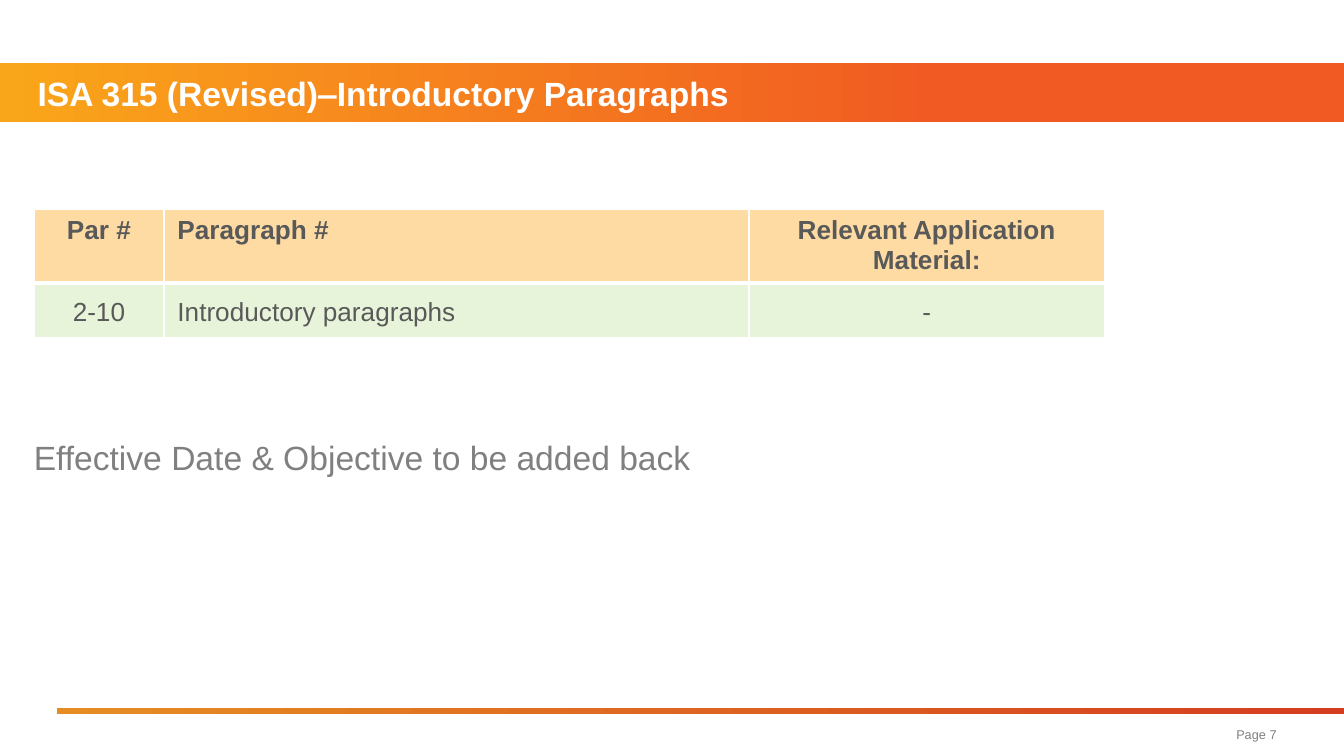
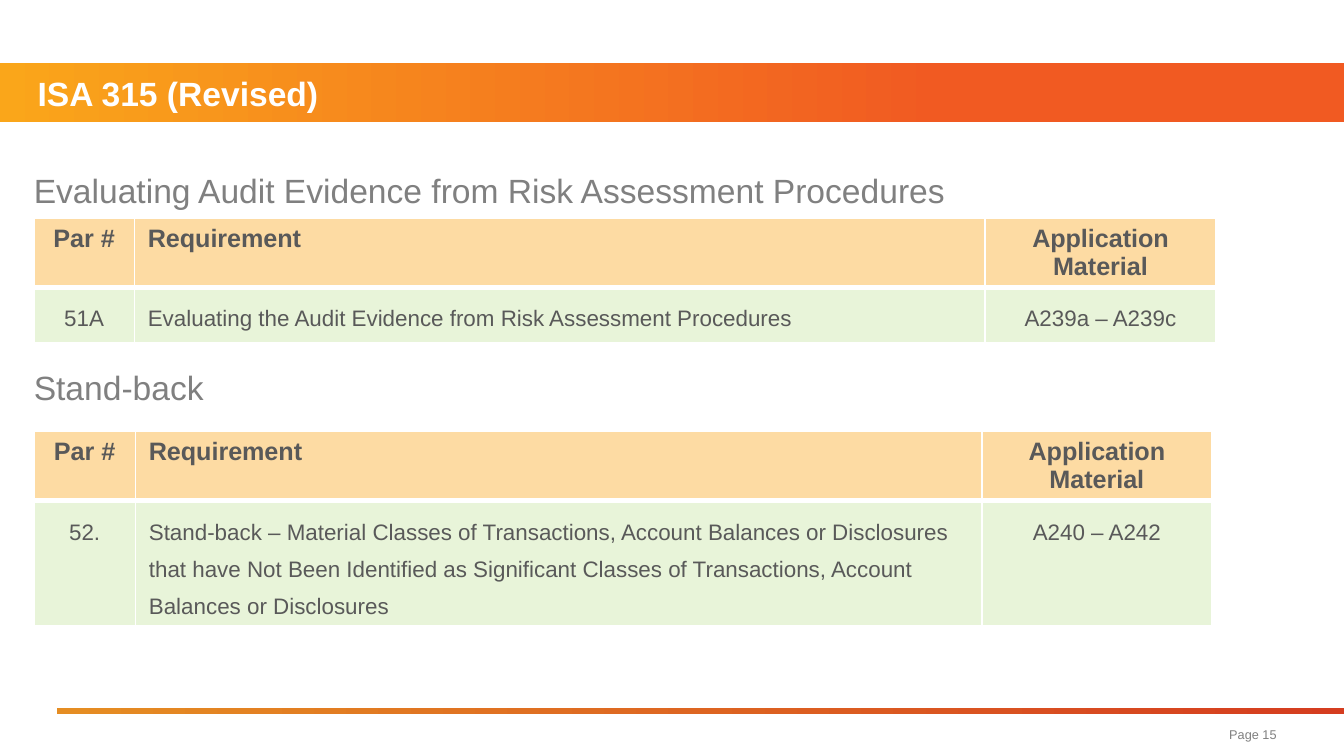
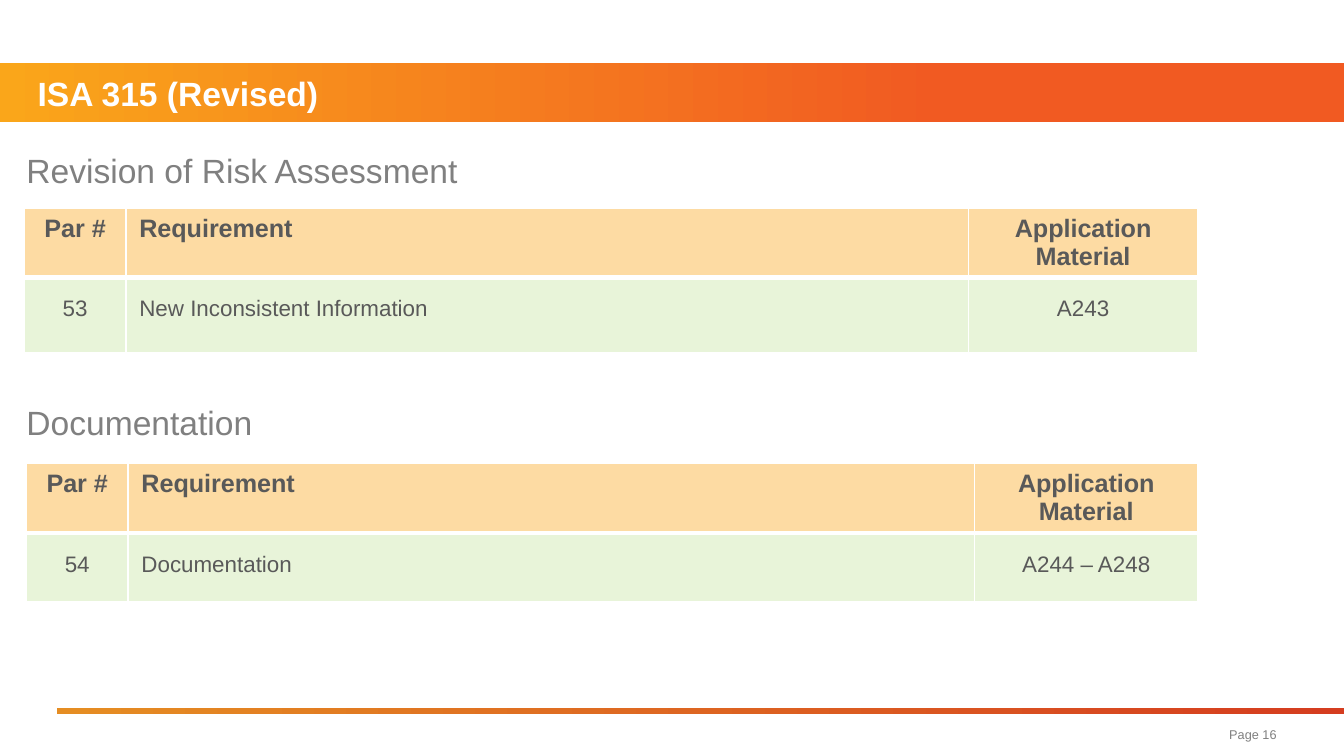
"""Build three slides on the paragraphs of ISA 315 (Revised)."""
from lxml.etree import SubElement
from pptx import Presentation
from pptx.dml.color import RGBColor
from pptx.enum.shapes import MSO_SHAPE
from pptx.enum.text import MSO_ANCHOR, MSO_AUTO_SIZE, PP_ALIGN
from pptx.oxml.ns import qn
from pptx.util import Cm, Pt

FONT = "Arial"
HUES = {
    "white": "FFFFFF", "grey": "808080", "text": "595959",
    "head": "FDDBA3", "body": "E8F4D9",
    "amber": "FAA61A", "orange": "F15A22",
    "gold": "E58D23", "red": "D53D20",
}
BAND = (0, 1.19, 25.4, 1.12)
RULE = (1.07, 13.39, 24.33, 0.1)
PAGE = (19.79, 13.56, 4.34, 0.64)
ALIGNS = (PP_ALIGN.CENTER, PP_ALIGN.LEFT, PP_ALIGN.CENTER)
HEADER = ("Par #", "Requirement", "Application Material")

SLIDES = [
    {
        "title": "ISA 315 (Revised)‒Introductory Paragraphs",
        "page": 7,
        "box": (0.64, 8.31, 21.74, 1.2), "line": 20, "gap": 0,
        "heads": ["Effective Date & Objective to be added back"],
        "tables": [
            {"at": (0.64, 3.96), "cols": (2.46, 11.05, 6.73),
             "rows": (1.39, 1.04), "sizes": (14, 14),
             "cells": [("Par #", "Paragraph #", "Relevant Application Material:"),
                       ("2-10", "Introductory paragraphs", "-")]},
        ],
    },
    {
        "title": "ISA 315 (Revised)",
        "page": 15,
        "box": (0.64, 3.2, 23.32, 11.08), "line": 22, "gap": 81.4,
        "heads": ["Evaluating Audit Evidence from Risk Assessment Procedures",
                  "Stand-back"],
        "tables": [
            {"at": (0.64, 4.12), "cols": (1.9, 16.08, 4.36),
             "rows": (1.3, 1.04), "sizes": (13.5, 12),
             "cells": [HEADER,
                       ("51A",
                        "Evaluating the Audit Evidence from Risk Assessment Procedures",
                        "A239a – A239c")]},
            {"at": (0.64, 8.15), "cols": (1.92, 16, 4.34),
             "rows": (1.3, 2.37), "sizes": (13.5, 12),
             "cells": [HEADER,
                       ("52.",
                        "Stand-back – Material Classes of Transactions, Account "
                        "Balances or Disclosures that have Not Been Identified as "
                        "Significant Classes of Transactions, Account Balances or "
                        "Disclosures",
                        "A240 – A242")]},
        ],
    },
    {
        "title": "ISA 315 (Revised)",
        "page": 16,
        "box": (0.5, 2.82, 23.32, 11.1), "line": 22, "gap": 111,
        "heads": ["Revision of Risk Assessment", "Documentation"],
        "tables": [
            {"at": (0.46, 3.93), "cols": (1.92, 15.92, 4.34),
             "rows": (1.3, 1.42), "sizes": (13.5, 12),
             "cells": [HEADER, ("53", "New Inconsistent Information", "A243")]},
            {"at": (0.5, 8.76), "cols": (1.92, 16, 4.22),
             "rows": (1.3, 1.3), "sizes": (13.5, 12),
             "cells": [HEADER, ("54", "Documentation", "A244 – A248")]},
        ],
    },
]


def shade(hue):
    return RGBColor.from_string(HUES[hue])


def place(shape, box):
    shape.left, shape.top, shape.width, shape.height = map(Cm, box)


def write(para, text, size, hue, align, bold=False):
    para.text = text
    para.alignment = align
    font = para.font
    font.name, font.size, font.bold = FONT, Pt(size), bold
    font.color.rgb = shade(hue)


def frame(shape, anchor):
    text = shape.text_frame
    text.word_wrap = True
    text.auto_size = MSO_AUTO_SIZE.NONE
    text.vertical_anchor = anchor
    text.margin_left = text.margin_right = 0
    text.margin_top = text.margin_bottom = 0
    return text


def add_bar(slide, layout, box, stops):
    bar = slide.shapes.add_shape(MSO_SHAPE.RECTANGLE, *map(Cm, box))
    bar.shadow.inherit = False
    bar.line.fill.background()
    bar.fill.gradient()
    bar.fill.gradient_angle = 0
    for stop, (hue, spot) in zip(bar.fill.gradient_stops, stops):
        stop.color.rgb = shade(hue)
        stop.position = spot
    layout.shapes.element.append(bar.element)


def add_title(slide, text):
    title = slide.shapes.title
    place(title, BAND)
    para = frame(title, MSO_ANCHOR.MIDDLE).paragraphs[0]
    write(para, text, 18, "white", PP_ALIGN.LEFT, True)
    props = para._p.get_or_add_pPr()
    props.set("marL", str(Cm(0.71)))
    props.set("indent", "0")


def add_page(slide, page):
    box = slide.shapes.add_textbox(*map(Cm, PAGE))
    para = frame(box, MSO_ANCHOR.MIDDLE).paragraphs[0]
    write(para, f"Page {page}", 6.8, "grey", PP_ALIGN.RIGHT)


def add_heads(slide, data):
    box = slide.shapes.add_textbox(*map(Cm, data["box"]))
    text = frame(box, MSO_ANCHOR.TOP)
    for i, head in enumerate(data["heads"]):
        para = text.add_paragraph() if i else text.paragraphs[0]
        write(para, head, 18, "grey", PP_ALIGN.JUSTIFY)
        para.line_spacing = Pt(data["line"])
        para.space_after = Pt(2.2)
        if i:
            para.space_before = Pt(data["gap"])


def add_edges(cell, base):
    props = cell._tc.get_or_add_tcPr()
    for side, width in (("L", 1), ("R", 1), ("T", 1), ("B", base)):
        edge = SubElement(props, qn(f"a:ln{side}"), w=str(Pt(width)))
        fill = SubElement(edge, qn("a:solidFill"))
        SubElement(fill, qn("a:srgbClr"), val=HUES["white"])


def add_grid(slide, data):
    cols, rows = data["cols"], data["rows"]
    size = (*data["at"], sum(cols), sum(rows))
    table = slide.shapes.add_table(len(rows), len(cols), *map(Cm, size)).table
    table.horz_banding = False
    for col, width in zip(table.columns, cols):
        col.width = Cm(width)
    for r, line in enumerate(data["cells"]):
        table.rows[r].height = Cm(rows[r])
        for c, text in enumerate(line):
            cell = table.cell(r, c)
            add_edges(cell, 1 if r else 3)
            cell.fill.solid()
            cell.fill.fore_color.rgb = shade("body" if r else "head")
            para = cell.text_frame.paragraphs[0]
            write(para, text, data["sizes"][r], "text", ALIGNS[c], r == 0)
            if r:
                para.line_spacing = Pt(20)


def main():
    deck = Presentation()
    deck.slide_width, deck.slide_height = Cm(25.4), Cm(14.29)
    layout = deck.slide_layouts[5]
    for i, data in enumerate(SLIDES):
        slide = deck.slides.add_slide(layout)
        if i == 0:
            add_bar(slide, layout, BAND, (("amber", 0), ("orange", 0.7)))
            add_bar(slide, layout, RULE, (("gold", 0), ("red", 1)))
        add_title(slide, data["title"])
        add_page(slide, data["page"])
        add_heads(slide, data)
        for grid in data["tables"]:
            add_grid(slide, grid)
    deck.save("out.pptx")


if __name__ == "__main__":
    main()
